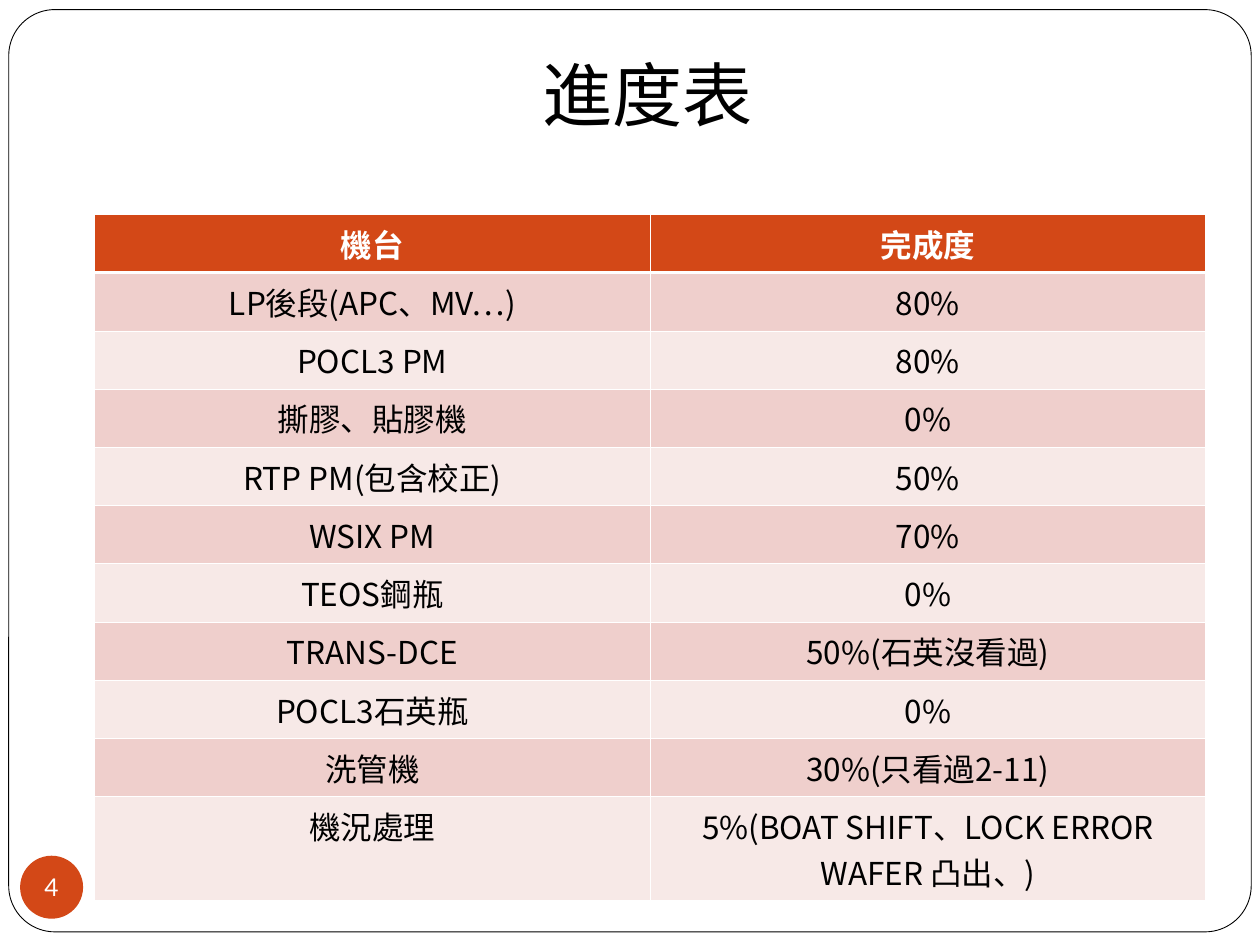
from lxml.etree import SubElement
from pptx import Presentation
from pptx.dml.color import RGBColor
from pptx.enum.shapes import MSO_SHAPE as Shape
from pptx.enum.text import MSO_ANCHOR as Anchor, PP_ALIGN as Align
from pptx.oxml import parse_xml
from pptx.oxml.ns import nsdecls, qn
from pptx.util import Pt

CJK = "Noto Sans CJK SC"
BLACK, WHITE, ACCENT = "000000", "FFFFFF", "D34817"
BANDS = ("EFCFCC", "F7E9E7")

ROWS = [
    ("機台", "完成度"),
    ("LP後段(APC、MV…)", "80%"),
    ("POCL3 PM", "80%"),
    ("撕膠、貼膠機", "0%"),
    ("RTP PM(包含校正)", "50%"),
    ("WSIX PM", "70%"),
    ("TEOS鋼瓶", "0%"),
    ("TRANS-DCE", "50%(石英沒看過)"),
    ("POCL3石英瓶", "0%"),
    ("洗管機", "30%(只看過2-11)"),
    ("機況處理", "5%(BOAT SHIFT、LOCK ERROR\nWAFER 凸出、)"),
]


def rgb(value):
    return RGBColor.from_string(value)


def write(tf, text, color, align=Align.CENTER, **font):
    """Fill a text frame, one paragraph per line of text."""
    tf.text = text
    for p in tf.paragraphs:
        p.alignment = align
        for r in p.runs:
            r.font.color.rgb = rgb(color)
            for name, value in font.items():
                setattr(r.font, name, value)
            # East Asian glyphs follow the same typeface
            SubElement(r.font._element, qn("a:ea"), typeface=font["name"])


def add_panel(s, kind, box, fill, line=None):
    sp = s.shapes.add_shape(kind, *map(Pt, box))
    sp.shadow.inherit = False
    sp.fill.solid()
    sp.fill.fore_color.rgb = rgb(fill)
    if line:
        sp.line.color.rgb = rgb(line)
        sp.line.width = Pt(0.5)
    else:
        sp.line.fill.background()
    return sp


def add_title(s, text):
    sp = s.shapes.title
    box = {"left": 303, "top": 26, "width": 266, "height": 55.5}
    for name, value in box.items():
        setattr(sp, name, Pt(value))
    tf = sp.text_frame
    tf.vertical_anchor = Anchor.TOP
    tf.word_wrap = True
    write(tf, text, BLACK, Align.LEFT, name=CJK, size=Pt(40))


def set_borders(cell, top, bottom):
    """Draw white borders, which must precede the fill in the cell."""
    tc_pr = cell._tc.get_or_add_tcPr()
    sides = {"lnL": 0.45, "lnR": 0.45, "lnT": top, "lnB": bottom}
    for i, (tag, width) in enumerate(sides.items()):
        tc_pr.insert(i, parse_xml(
            f'<a:{tag} {nsdecls("a")} w="{Pt(width)}"><a:solidFill>'
            f'<a:srgbClr val="{WHITE}"/></a:solidFill></a:{tag}>'))


def add_progress_table(s, rows):
    frame = s.shapes.add_table(len(rows), 2, Pt(54), Pt(122.5), Pt(635), Pt(379))
    table = frame.table
    for i, values in enumerate(rows):
        header = i == 0
        table.rows[i].height = Pt(50.4 if i == len(rows) - 1 else 33)
        for j, text in enumerate(values):
            cell = table.cell(i, j)
            cell.fill.solid()
            cell.fill.fore_color.rgb = rgb(ACCENT if header else BANDS[(i - 1) % 2])
            set_borders(cell, 1.47 if i == 1 else 0.45, 1.47 if header else 0.45)
            write(cell.text_frame, text, WHITE if header else BLACK,
                  name=CJK, size=Pt(18), bold=header)


def add_page_number(s, text):
    sp = add_panel(s, Shape.OVAL, (11.5, 489, 36, 36), ACCENT)
    tf = sp.text_frame
    tf.word_wrap = False
    tf.vertical_anchor = Anchor.MIDDLE
    for side in ("left", "top", "right", "bottom"):
        setattr(tf, f"margin_{side}", 0)
    write(tf, text, WHITE, name="Lato", size=Pt(14))


def main():
    prs = Presentation()
    prs.slide_width, prs.slide_height = Pt(720), Pt(540)
    s = prs.slides.add_slide(prs.slide_layouts[5])

    # Rounded page frame, kept behind the title
    frame = add_panel(s, Shape.ROUNDED_RECTANGLE, (5, 5.5, 710, 527), WHITE, BLACK)
    frame.adjustments[0] = 0.05
    s.shapes.title._element.addprevious(frame._element)

    # Content
    add_title(s, "進度表")
    add_page_number(s, "4")
    add_progress_table(s, ROWS)

    prs.save("out.pptx")


if __name__ == "__main__":
    main()
